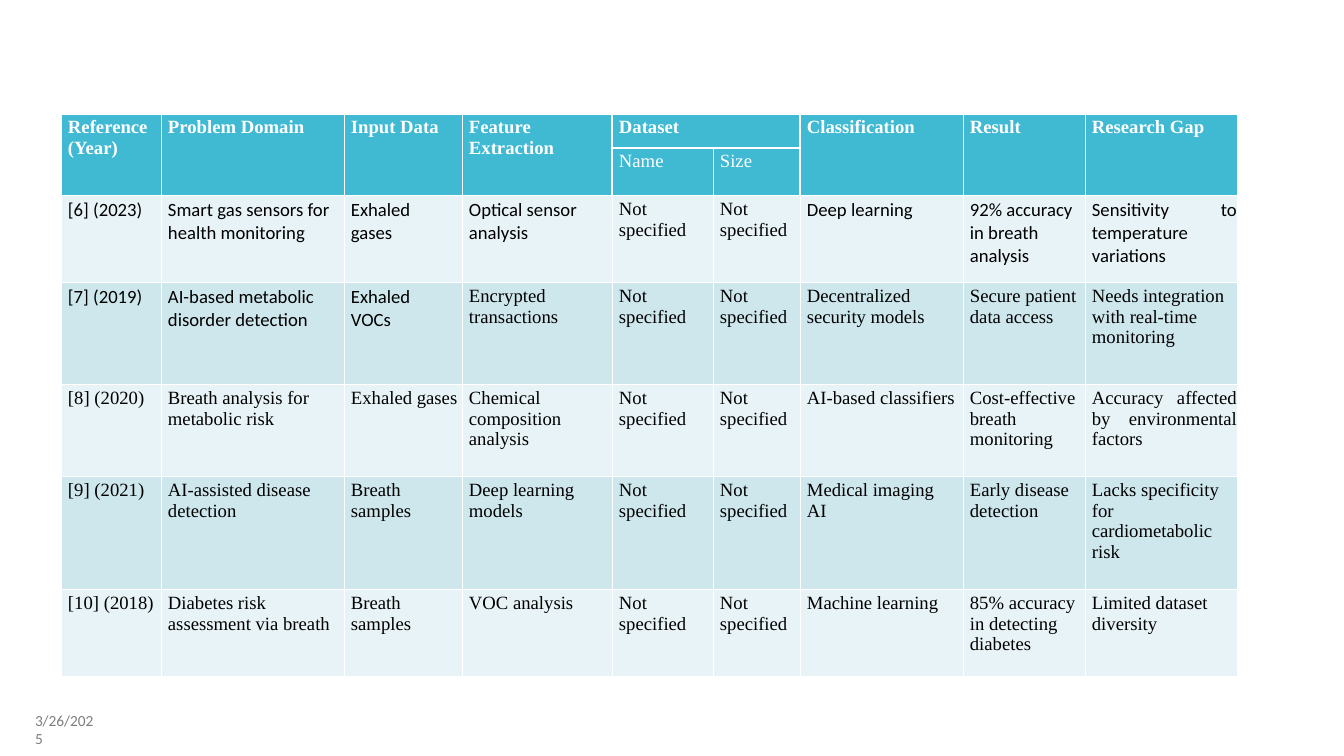
"""Builds a literature survey table slide on breath analysis."""
from lxml.etree import SubElement
from pptx import Presentation
from pptx.dml.color import RGBColor
from pptx.enum.text import MSO_AUTO_SIZE, PP_ALIGN
from pptx.oxml.ns import qn
from pptx.util import Emu, Pt

COLORS = {"head": "40B9D2", "light": "E8F3F7", "dark": "CEE7ED",
          "white": "FFFFFF", "black": "000000", "date": "7E7E7E"}
SERIF, SANS = "Times New Roman", "Calibri"
NS = "Not\nspecified"
COLS = [100, 183, 118, 150, 101, 87, 163, 122, 152]
HEIGHTS = [34, 34, 87, 102, 92, 113, 87]
ROWS = [
    ["Reference (Year)", "Problem Domain", "Input Data", "Feature Extraction",
     "Dataset", "", "Classification", "Result", "Research Gap"],
    ["", "", "", "", "Name", "Size", "", "", ""],
    ["[6] (2023)", "Smart gas sensors for\nhealth monitoring", "Exhaled\ngases",
     "Optical sensor\nanalysis", NS, NS, "Deep learning",
     "92% accuracy in breath analysis", "Sensitivity to temperature variations"],
    ["[7] (2019)", "AI-based metabolic\ndisorder detection", "Exhaled\nVOCs",
     "Encrypted\ntransactions", NS, NS, "Decentralized\nsecurity models",
     "Secure patient\ndata access", "Needs integration with real-time monitoring"],
    ["[8] (2020)", "Breath analysis for metabolic risk", "Exhaled gases",
     "Chemical composition analysis", "Not specified", "Not specified",
     "AI-based classifiers", "Cost-effective breath monitoring",
     "Accuracy affected by environmental factors"],
    ["[9] (2021)", "AI-assisted disease\ndetection", "Breath\nsamples",
     "Deep learning\nmodels", NS, NS, "Medical imaging\nAI",
     "Early disease\ndetection", "Lacks specificity for cardiometabolic risk"],
    ["[10] (2018)", "Diabetes risk\nassessment via breath", "Breath\nsamples",
     "VOC analysis", NS, NS, "Machine learning",
     "85% accuracy in detecting diabetes", "Limited dataset\ndiversity"],
]


def px(n):
    return Emu(round(n * 914400 / 67.2))


def style(p, font, size, color, bold=False):
    p.font.name, p.font.size, p.font.bold = font, Pt(size), bold
    p.font.color.rgb = RGBColor.from_string(COLORS[color])


prs = Presentation()
prs.slide_width, prs.slide_height = px(1344), px(756)
s = prs.slides.add_slide(prs.slide_layouts[6])

tb = s.shapes.add_textbox(px(35), px(710), px(63), px(20))
tf = tb.text_frame
tf.word_wrap = True
tf.auto_size = MSO_AUTO_SIZE.SHAPE_TO_FIT_TEXT
tf.margin_left = tf.margin_right = tf.margin_bottom = 0
tf.margin_top = px(1)
p = tf.paragraphs[0]
p.text = "3/26/2025"
p.space_before = Pt(1.1)
style(p, SANS, 16.5, "date")

table = s.shapes.add_table(len(ROWS), len(COLS), px(61), px(114),
                           px(sum(COLS)), px(sum(HEIGHTS))).table
table.first_row = table.horz_banding = False
for col, width in zip(table.columns, COLS):
    col.width = px(width)
for row, height in zip(table.rows, HEIGHTS):
    row.height = px(height)

for r, texts in enumerate(ROWS):
    head = r < 2
    fill = "head" if head else ("light", "dark")[r % 2]
    for c, text in enumerate(texts):
        cell = table.cell(r, c)
        cell.margin_left, cell.margin_top = px(7), px(3)
        cell.margin_right = cell.margin_bottom = 0
        thick = {"lnL": head and c in (4, 6), "lnR": head and c in (3, 5),
                 "lnT": r == 1 and c in (4, 5), "lnB": r == 0 and c in (4, 5)}
        tcPr = cell._tc.get_or_add_tcPr()
        for side, wide in thick.items():
            ln = SubElement(tcPr, qn(f"a:{side}"), w=str(Pt(3 if wide else 1)))
            SubElement(SubElement(ln, qn("a:solidFill")), qn("a:srgbClr"),
                       val=COLORS["white"])
        cell.fill.solid()
        cell.fill.fore_color.rgb = RGBColor.from_string(COLORS[fill])

        sans = (r == 2 and c not in (4, 5)) or (r == 3 and c < 3)
        cell.text = text
        for i, p in enumerate(cell.text_frame.paragraphs):
            p.space_before = Pt(0 if i else 2.8)
            if c == 8 and r in (2, 4):
                p.alignment = PP_ALIGN.JUSTIFY
            style(p, SANS if sans else SERIF, 20,
                  "white" if head else "black", r == 0)

table.cell(0, 4).merge(table.cell(0, 5))
for c in (0, 1, 2, 3, 6, 7, 8):
    table.cell(0, c).merge(table.cell(1, c))

prs.save("out.pptx")
